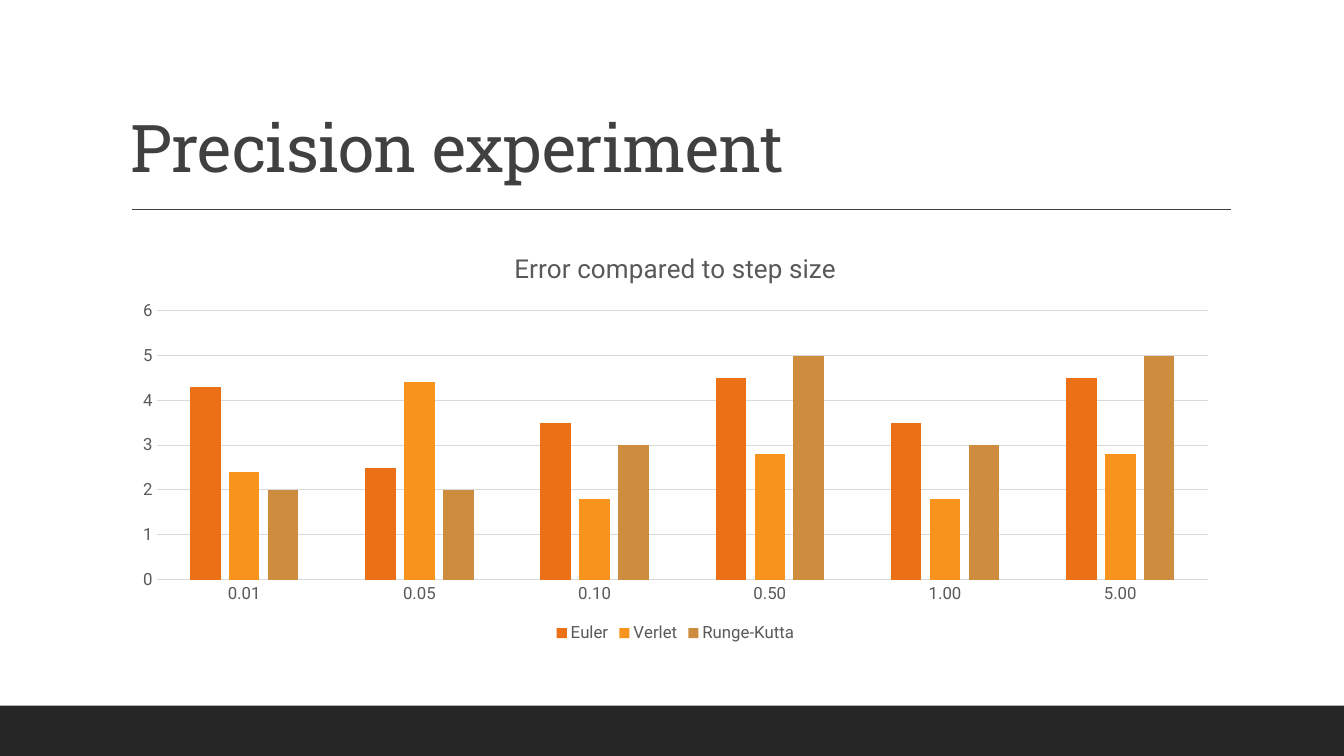
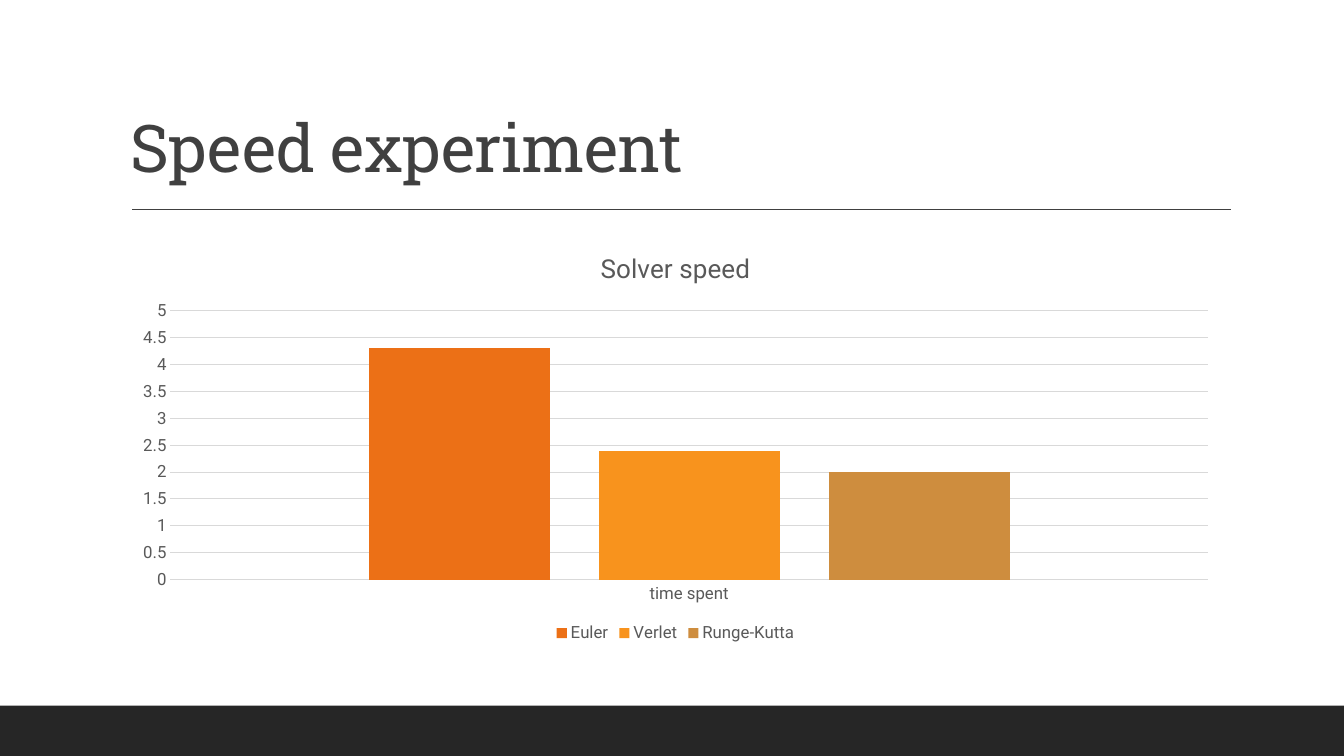
"""Build two slides that compare the precision and the speed of three solvers."""
from dataclasses import dataclass
from typing import Any

from pptx import Presentation
from pptx import util as u
from pptx.chart.chart import Chart
from pptx.chart.data import CategoryChartData
from pptx.dml.color import RGBColor
from pptx.enum import chart as ch, shapes, text
from pptx.oxml.xmlchemy import OxmlElement
from pptx.slide import Slide

DARK = RGBColor(0x26, 0x26, 0x26)
TITLE = RGBColor(0x40, 0x40, 0x40)
LABEL = RGBColor(0x59, 0x59, 0x59)
GRID = RGBColor(0xD9, 0xD9, 0xD9)
ORANGE = RGBColor(0xEC, 0x70, 0x16)
AMBER = RGBColor(0xF8, 0x93, 0x1D)
BRONZE = RGBColor(0xCE, 0x8D, 0x3E)

SOLVERS = {"Euler": ORANGE, "Verlet": AMBER, "Runge-Kutta": BRONZE}
SLIDE_W, SLIDE_H, BAND_H = u.Inches(13.33), u.Inches(7.5), u.Inches(0.5)
LEFT, WIDTH = u.Inches(1.2), u.Inches(11)
RULE_LEFT, RULE_RIGHT, RULE_Y = u.Inches(1.31), u.Inches(12.21), u.Inches(2.08)

TITLE_FONT = {"name": "Roboto Slab", "size": u.Pt(47), "bold": False}
CHART_TITLE_FONT = {"name": "Roboto", "size": u.Pt(18.6), "bold": False}
LABEL_FONT = {"name": "Roboto", "size": u.Pt(12), "bold": False}
AXIS_FORMAT = {
    "major_tick_mark": ch.XL_TICK_MARK.NONE,
    "minor_tick_mark": ch.XL_TICK_MARK.NONE,
    "tick_label_position": ch.XL_TICK_LABEL_POSITION.NEXT_TO_AXIS,
}
LEGEND_FORMAT = {"position": ch.XL_LEGEND_POSITION.BOTTOM, "include_in_layout": False}
PLOT_FORMAT = {"gap_width": 219, "overlap": -27, "vary_by_categories": False}


@dataclass(frozen=True)
class Experiment:
    """One slide: its title, chart title, categories, values per solver and axis scale."""

    title: str
    chart_title: str
    categories: tuple[str, ...]
    values: tuple[tuple[float, ...], ...]
    top: float
    step: float


EXPERIMENTS = (
    Experiment(
        "Precision experiment",
        "Error compared to step size",
        ("0.01", "0.05", "0.10", "0.50", "1.00", "5.00"),
        (
            (4.3, 2.5, 3.5, 4.5, 3.5, 4.5),
            (2.4, 4.4, 1.8, 2.8, 1.8, 2.8),
            (2, 2, 3, 5, 3, 5),
        ),
        6,
        1,
    ),
    Experiment("Speed experiment", "Solver speed", ("time spent",), ((4.3,), (2.4,), (2,)), 5, 0.5),
)


def apply(target: Any, values: dict[str, Any]) -> None:
    """Set each named attribute on the target."""
    for name, value in values.items():
        setattr(target, name, value)


def style_font(font: Any, values: dict[str, Any], color: RGBColor) -> None:
    """Give a font its face, size and colour."""
    apply(font, values)
    font.color.rgb = color


def style_line(line: Any, color: RGBColor, width: float) -> None:
    """Give a line its colour and its width in points."""
    line.color.rgb = color
    line.width = u.Pt(width)


def add_frame(s: Slide) -> None:
    """Draw the bottom band and the rule under the title."""
    sp = s.shapes.add_shape(shapes.MSO_SHAPE.RECTANGLE, 0, SLIDE_H - BAND_H, SLIDE_W, BAND_H)
    sp.shadow.inherit = False
    sp.fill.solid()
    sp.fill.fore_color.rgb = DARK
    sp.line.fill.background()
    rule = s.shapes.add_connector(
        shapes.MSO_CONNECTOR.STRAIGHT, RULE_LEFT, RULE_Y, RULE_RIGHT, RULE_Y
    )
    style_line(rule.line, TITLE, 1)
    rule._element.spPr.append(OxmlElement("a:effectLst"))


def add_title(s: Slide, title: str) -> None:
    """Write the slide title, resting on the bottom of its box."""
    tf = s.shapes.add_textbox(LEFT, u.Inches(0.31), WIDTH, u.Inches(1.59)).text_frame
    apply(tf, {"word_wrap": True, "vertical_anchor": text.MSO_ANCHOR.BOTTOM})
    p = tf.paragraphs[0]
    p.line_spacing = 0.9
    r = p.add_run()
    r.text = title
    style_font(r.font, TITLE_FONT, TITLE)
    r._r.get_or_add_rPr().set("spc", "-50")


def style_axes(chart: Chart, experiment: Experiment) -> None:
    """Format both axes and the gridlines."""
    for axis in (chart.category_axis, chart.value_axis):
        apply(axis, AXIS_FORMAT)
        style_font(axis.tick_labels.font, LABEL_FONT, LABEL)
    style_line(chart.category_axis.format.line, GRID, 0.75)
    value_axis = chart.value_axis
    apply(
        value_axis,
        {"minimum_scale": 0, "maximum_scale": experiment.top, "major_unit": experiment.step},
    )
    value_axis.format.line.fill.background()
    style_line(value_axis.major_gridlines.format.line, GRID, 0.75)


def add_chart(s: Slide, experiment: Experiment) -> None:
    """Draw the clustered columns with one series per solver."""
    data = CategoryChartData()
    data.categories = experiment.categories
    for name, values in zip(SOLVERS, experiment.values):
        data.add_series(name, values)
    chart = s.shapes.add_chart(
        ch.XL_CHART_TYPE.COLUMN_CLUSTERED, LEFT, u.Inches(2.31), WIDTH, u.Inches(4.11), data
    ).chart
    style_font(chart.font, LABEL_FONT, LABEL)
    tf = chart.chart_title.text_frame
    tf.text = experiment.chart_title
    style_font(tf.paragraphs[0].runs[0].font, CHART_TITLE_FONT, LABEL)
    chart.chart_title.include_in_layout = False
    chart.has_legend = True
    apply(chart.legend, LEGEND_FORMAT)
    style_font(chart.legend.font, LABEL_FONT, LABEL)
    plot = chart.plots[0]
    apply(plot, PLOT_FORMAT)
    for series, color in zip(plot.series, SOLVERS.values()):
        series.format.fill.solid()
        series.format.fill.fore_color.rgb = color
    style_axes(chart, experiment)


def main() -> None:
    """Build and save the presentation."""
    prs = Presentation()
    apply(prs, {"slide_width": SLIDE_W, "slide_height": SLIDE_H})
    for experiment in EXPERIMENTS:
        s = prs.slides.add_slide(prs.slide_layouts[6])
        add_frame(s)
        add_title(s, experiment.title)
        add_chart(s, experiment)
    prs.save("out.pptx")


if __name__ == "__main__":
    main()
